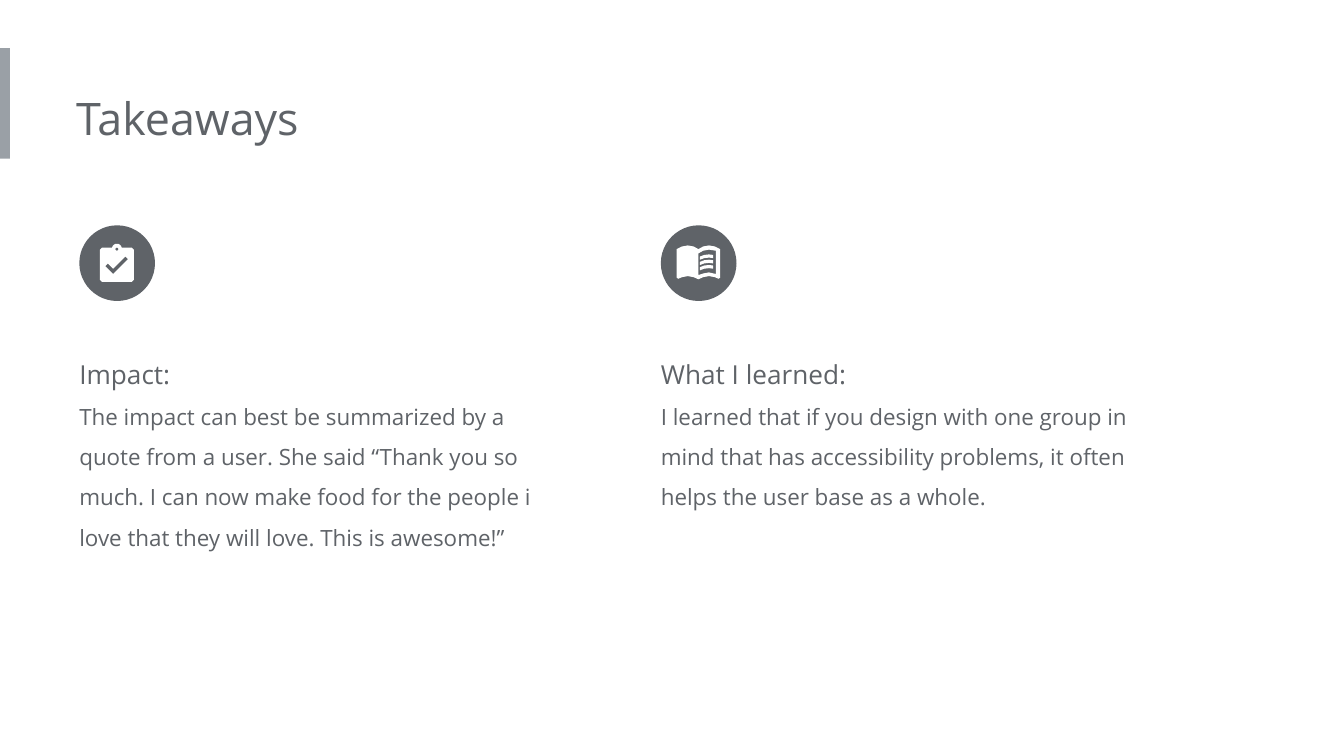
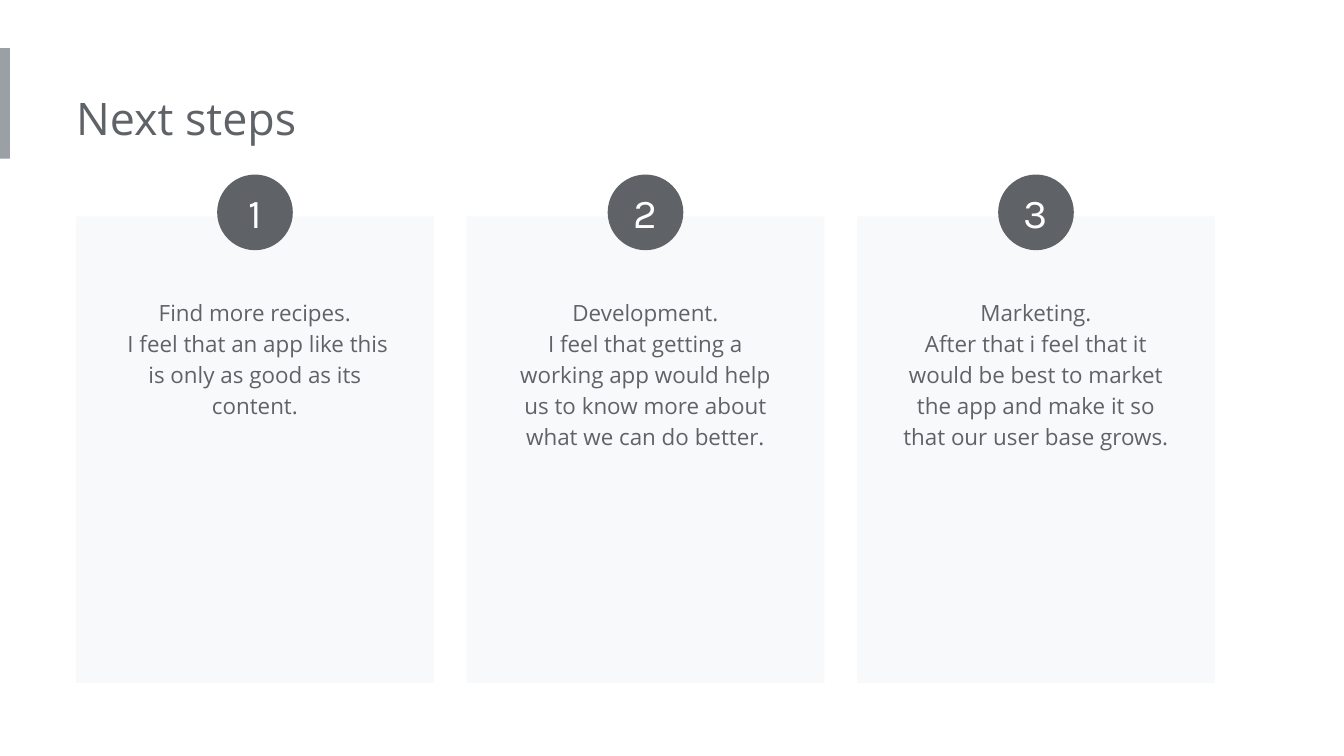
from math import cos, radians, sin

from pptx import Presentation
from pptx.dml.color import RGBColor
from pptx.enum.shapes import MSO_SHAPE
from pptx.enum.text import MSO_ANCHOR, MSO_AUTO_SIZE, PP_ALIGN
from pptx.util import Cm, Pt

DARK = "5F6368"
BAND = "9AA0A6"
CARD = "F8F9FA"
WHITE = "FFFFFF"
BODY_FONT = "Open Sans"
NUMBER_FONT = "Karla"

TITLE_ONLY = 5
LEFT = 1.44
INSET = 0.25
CIRCLE = 1.43

TAKEAWAY_LEFT = 1.5
TAKEAWAY_PITCH = 10.99
TAKEAWAY_WIDTH = 9.5
TAKEAWAYS = [
    ("Impact:",
     "The impact can best be summarized by a quote from a user. She said “Thank you so "
     "much. I can now make food for the people i love that they will love. This is awesome!”",
     4.24),
    ("What I learned:",
     "I learned that if you design with one group in mind that has accessibility problems, "
     "it often helps the user base as a whole.",
     3.45),
]

CARD_WIDTH = 6.76
CARD_PITCH = 7.38
CARD_TEXT_WIDTH = 5.69
STEPS = [
    ("Find more recipes.",
     " I feel that an app like this is only as good as its content.", 2.79),
    ("Development.",
     "I feel that getting a working app would help us to know more about what we can do better.",
     3.38),
    ("Marketing.",
     "After that i feel that it would be best to market the app and make it so that our "
     "user base grows.", 3.38),
]

# Icon outlines, in tenths of a millimetre from the corner of their circle
CHECK_MARK = [(64, 92), (49, 77), (54, 72), (64, 82), (87, 59), (92, 64)]
BOOK_OUTLINE = [
    (30, 45), (40, 40), (51, 38), (62, 40), (71, 45), (80, 40), (91, 38), (102, 40),
    (112, 45), (112, 99), (109, 101), (102, 98), (91, 96), (80, 98), (71, 102),
    (62, 98), (51, 96), (40, 98), (33, 101), (30, 99),
]
BOOK_PAGE = [(71, 53), (80, 48), (91, 46), (104, 48), (104, 92), (91, 89), (80, 91), (71, 94)]
BOOK_LINE = [(74, 59), (82, 56), (91, 55), (99, 56), (99, 62), (91, 61), (82, 62), (74, 65)]
BOOK_LINE_PITCH = 10


def color(hex_value):
    return RGBColor.from_string(hex_value)


def box(left, top, width, height):
    return Cm(left), Cm(top), Cm(width), Cm(height)


def paint(shape, fill):
    """Give a shape a flat fill without line or shadow."""
    shape.shadow.inherit = False
    shape.fill.solid()
    shape.fill.fore_color.rgb = color(fill)
    shape.line.fill.background()


def add_filled_shape(slide, kind, bounds, fill):
    shape = slide.shapes.add_shape(kind, *box(*bounds))
    paint(shape, fill)
    return shape


def add_circle(slide, left, top):
    return add_filled_shape(slide, MSO_SHAPE.OVAL, (left, top, CIRCLE, CIRCLE), DARK)


def format_frame(frame, left_inset=0, inset=INSET, anchor=MSO_ANCHOR.TOP):
    frame.word_wrap = True
    frame.vertical_anchor = anchor
    frame.margin_left = Cm(left_inset)
    frame.margin_top = frame.margin_right = frame.margin_bottom = Cm(inset)


def write(paragraph, text, size, font=BODY_FONT, fill=DARK,
          alignment=PP_ALIGN.LEFT, spacing=None):
    paragraph.alignment = alignment
    if spacing:
        paragraph.line_spacing = spacing
    run = paragraph.add_run()
    run.text = text
    run.font.size = Pt(size)
    run.font.name = font
    run.font.color.rgb = color(fill)


def add_heading_and_body(slide, bounds, heading, body, heading_size=12, left_inset=0, **style):
    frame = slide.shapes.add_textbox(*box(*bounds)).text_frame
    format_frame(frame, left_inset)
    frame.auto_size = MSO_AUTO_SIZE.SHAPE_TO_FIT_TEXT
    write(frame.paragraphs[0], heading, heading_size, **style)
    write(frame.add_paragraph(), body, 12, **style)


def add_titled_slide(presentation, title):
    """Add a slide with the side band and the title they all share."""
    slide = presentation.slides.add_slide(presentation.slide_layouts[TITLE_ONLY])
    add_filled_shape(slide, MSO_SHAPE.RECTANGLE, (0, 0.91, 0.19, 2.09), BAND)
    shape = slide.shapes.title
    shape.left, shape.top, shape.width, shape.height = box(LEFT, 1.47, 13.69, 1.55)
    format_frame(shape.text_frame)
    shape.text_frame.auto_size = MSO_AUTO_SIZE.SHAPE_TO_FIT_TEXT
    write(shape.text_frame.paragraphs[0], title, 24)
    return slide


def arc(center_x, center_y, radius, start, end, steps=8):
    """Return points along an arc, with angles in degrees clockwise from the right."""
    angles = [radians(start + (end - start) * step / steps) for step in range(steps + 1)]
    return [(center_x + radius * cos(angle), center_y + radius * sin(angle))
            for angle in angles]


def add_icon_part(slide, left, top, *contours):
    """Draw one white outline; contours after the first are cut out of it."""
    builder = None
    for first, *others in contours:
        if builder is None:
            builder = slide.shapes.build_freeform(*first, scale=Cm(0.01))
        else:
            builder.move_to(*first)
        builder.add_line_segments(others, close=True)
    paint(builder.convert_to_shape(Cm(left), Cm(top)), WHITE)


def add_clipboard(slide, left, top):
    outline = (arc(45, 48, 6, 180, 270) + arc(71, 45, 10, 200, 340)
               + arc(97, 48, 6, 270, 360) + arc(97, 101, 6, 0, 90)
               + arc(45, 101, 6, 90, 180))
    add_icon_part(slide, left, top, outline, arc(71, 45, 3, 0, 360), CHECK_MARK)


def add_book(slide, left, top):
    add_icon_part(slide, left, top, BOOK_OUTLINE, BOOK_PAGE)
    for index in range(3):
        line = [(x, y + index * BOOK_LINE_PITCH) for x, y in BOOK_LINE]
        add_icon_part(slide, left, top, line)


def add_takeaways(presentation):
    slide = add_titled_slide(presentation, "Takeaways")
    icon_top = 4.26
    for index, (heading, body, height) in enumerate(TAKEAWAYS):
        left = TAKEAWAY_LEFT + index * TAKEAWAY_PITCH
        add_heading_and_body(slide, (left, 6.22, TAKEAWAY_WIDTH, height), heading, body,
                             heading_size=14, spacing=1.5)
        add_circle(slide, left, icon_top)
        add_icon = (add_clipboard, add_book)[index]
        add_icon(slide, left, icon_top)


def add_next_steps(presentation):
    slide = add_titled_slide(presentation, "Next steps")
    for index, (heading, body, height) in enumerate(STEPS):
        left = LEFT + index * CARD_PITCH
        add_filled_shape(slide, MSO_SHAPE.RECTANGLE, (left, 4.09, CARD_WIDTH, 8.82), CARD)
        text_left = left + (CARD_WIDTH - CARD_TEXT_WIDTH) / 2
        add_heading_and_body(slide, (text_left, 5.33, CARD_TEXT_WIDTH, height), heading, body,
                             left_inset=INSET, alignment=PP_ALIGN.CENTER, spacing=1.15)
        circle = add_circle(slide, left + (CARD_WIDTH - CIRCLE) / 2, 3.3)
        format_frame(circle.text_frame, inset=0, anchor=MSO_ANCHOR.MIDDLE)
        write(circle.text_frame.paragraphs[0], str(index + 1), 22, NUMBER_FONT, WHITE,
              PP_ALIGN.CENTER)


def main():
    presentation = Presentation()
    presentation.slide_width = Cm(25.4)
    presentation.slide_height = Cm(14.29)
    add_takeaways(presentation)
    add_next_steps(presentation)
    presentation.save("out.pptx")


if __name__ == "__main__":
    main()
